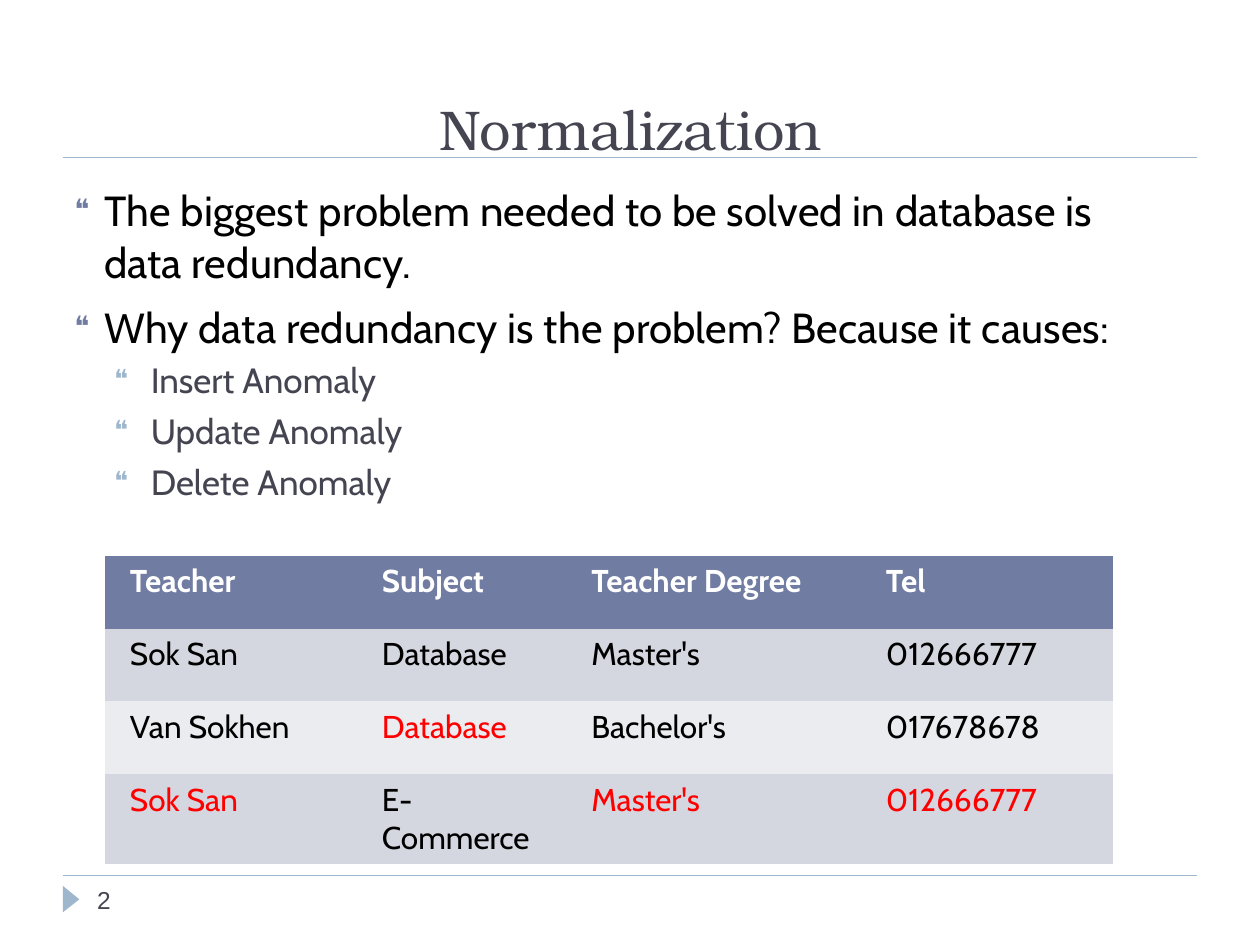
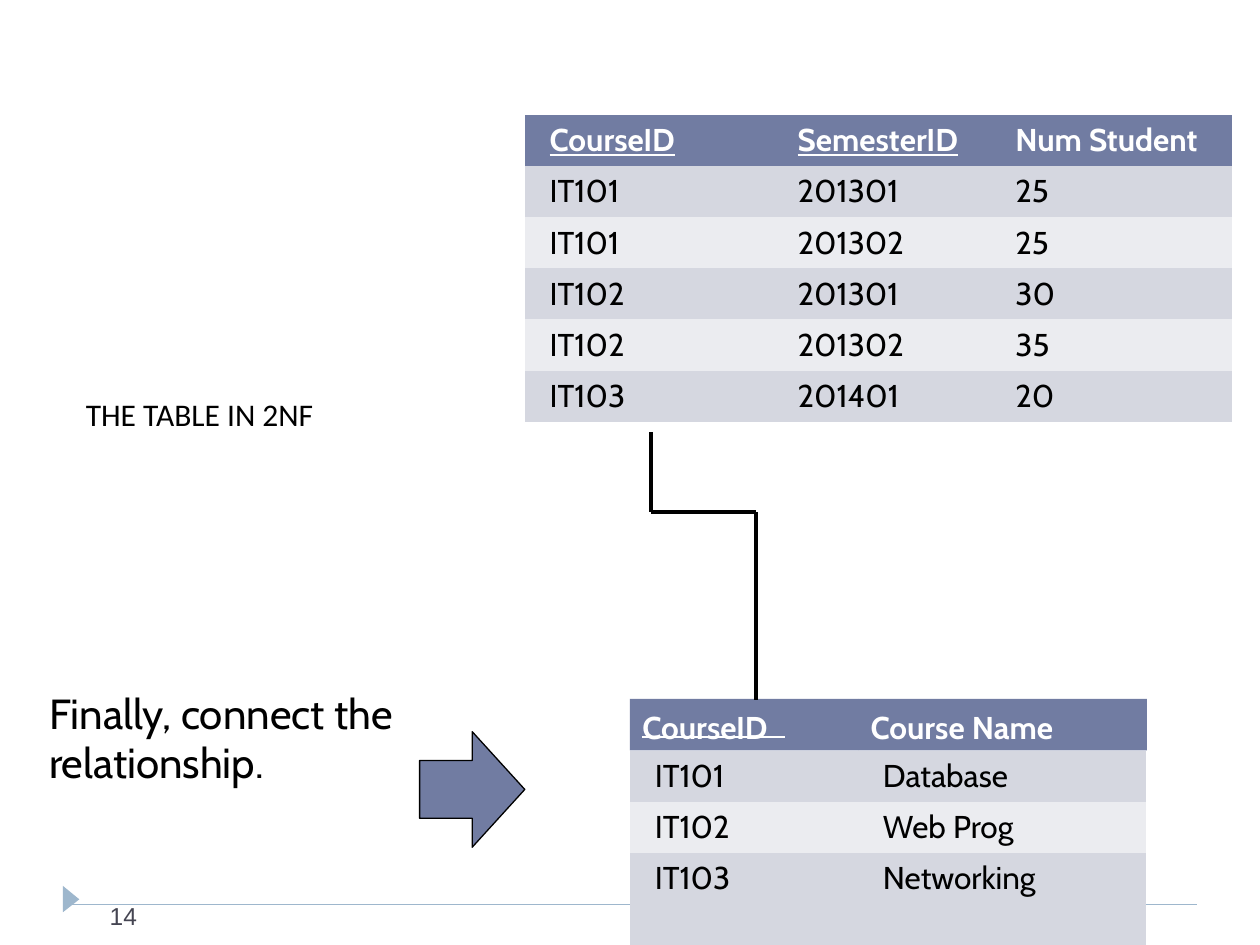
"""Builds two slides on database normalization."""
from dataclasses import dataclass
from itertools import pairwise

from lxml.etree import SubElement as Sub
from pptx import Presentation
from pptx.dml.color import RGBColor as Rgb
from pptx.enum.shapes import MSO_CONNECTOR as Link, MSO_SHAPE as Kind
from pptx.enum.text import MSO_ANCHOR as Anchor, MSO_AUTO_SIZE as Fit, PP_ALIGN as Align
from pptx.oxml.ns import qn
from pptx.util import Cm, Pt


@dataclass(frozen=True)
class Theme:
    """Colours, fonts and type sizes of the deck."""
    ink: str = "000000"
    white: str = "FFFFFF"
    slate: str = "454552"
    blue: str = "717CA2"
    pale: str = "9EB7CD"
    red: str = "FF0000"
    bands: tuple = ("D5D7E0", "EBECF0")
    body: str = "Cabin"
    serif: str = "TeX Gyre Bonum"
    sans: str = "Arial"
    label: str = "Calibri"
    head: int = 32
    lead: int = 24
    item: int = 20
    cell: int = 18
    page: int = 14
    plain: str = "{2D5ABB26-0587-4C30-8999-92F81FD0307C}"


T = Theme()
FOLIO = dict(size=T.page, color=T.slate, font=T.sans)


def write(para, text, size=T.cell, color=T.ink, font=T.body, bold=False,
          under=False, align=None, space=None, before=None, track=0):
    """Put formatted text into a paragraph."""
    run = para.add_run()
    run.text = text
    face = run.font
    face.size, face.name, face.bold, face.underline = Pt(size), font, bold, under
    face.color.rgb = Rgb.from_string(color)
    if track:
        face._element.set("spc", str(track))
    para.alignment = align
    para.line_spacing = space
    if before is not None:
        para.space_before = Pt(before)


def clear(frame):
    """Remove the margins of a text frame and let it wrap."""
    frame.margin_left = frame.margin_right = frame.margin_top = frame.margin_bottom = 0
    frame.word_wrap = True
    frame.auto_size = Fit.NONE
    frame.vertical_anchor = Anchor.TOP


def mark(para, color, hang, scale):
    """Give a paragraph a hanging quote-mark bullet."""
    props = para._p.get_or_add_pPr()
    props.set("marL", str(Cm(hang)))
    props.set("indent", str(-Cm(hang)))
    Sub(Sub(props, qn("a:buClr")), qn("a:srgbClr"), val=color)
    Sub(props, qn("a:buSzPct"), val=str(scale * 1000))
    Sub(props, qn("a:buFont"), typeface=T.sans)
    Sub(props, qn("a:buChar"), char="❝")


def block(slide, box, lines, bullet=None, **form):
    """Add a text box with one paragraph per line."""
    frame = slide.shapes.add_textbox(*map(Cm, box)).text_frame
    clear(frame)
    for num, text in enumerate(lines):
        para = frame.add_paragraph() if num else frame.paragraphs[0]
        write(para, text, **form)
        if bullet:
            mark(para, *bullet)


def rule(slide, start, end, color=T.pale, width=0.71):
    """Draw a straight line between two points."""
    line = slide.shapes.add_connector(Link.STRAIGHT, *map(Cm, start + end))
    line.line.color.rgb = Rgb.from_string(color)
    line.line.width = Pt(width)
    Sub(line._element.spPr, qn("a:effectLst"))


def paint(shape, fill, edge=None):
    """Fill a shape and give it a thin outline or none."""
    shape.shadow.inherit = False
    shape.fill.solid()
    shape.fill.fore_color.rgb = Rgb.from_string(fill)
    if edge:
        shape.line.color.rgb = Rgb.from_string(edge)
        shape.line.width = Pt(0.75)
    else:
        shape.line.fill.background()


def title(slide, box, text):
    """Place the title with the line under it."""
    head = slide.shapes.title
    head.left, head.top, head.width, head.height = map(Cm, box)
    clear(head.text_frame)
    head.text_frame.margin_top = Cm(0.15)
    write(head.text_frame.paragraphs[0], text, size=T.head, color=T.slate,
          font=T.serif, align=Align.CENTER)
    base = box[1] + 1.42
    rule(slide, (1.27, base), (24.13, base))


def pointer(slide):
    """Draw the triangle beside the page number."""
    pen = slide.shapes.build_freeform(Cm(1.27), Cm(17.86))
    pen.add_line_segments([(Cm(1.27), Cm(18.39)), (Cm(1.6), Cm(18.13))], close=True)
    paint(pen.convert_to_shape(), T.pale)


def grid(slide, at, cols, rows, data, pads, header=True, keys=(), reds=(), spans=()):
    """Add a banded table, leaving empty cells bare, and return it."""
    shape = slide.shapes.add_table(len(rows), len(cols), *map(Cm, at + (sum(cols), sum(rows))))
    table = shape.table
    table.first_row = header
    table._tbl.tblPr.find(qn("a:tableStyleId")).text = T.plain
    for col, width in zip(table.columns, cols):
        col.width = Cm(width)
    for row, tall in zip(table.rows, rows):
        row.height = Cm(tall)
    for first, last in spans:
        table.cell(*first).merge(table.cell(*last))
    for r, line in enumerate(data):
        for c, text in enumerate(line):
            if not text:
                continue
            cell, head = table.cell(r, c), header and r == 0
            cell.fill.solid()
            cell.fill.fore_color.rgb = Rgb.from_string(
                T.blue if head else T.bands[(r - header) % 2])
            cell.margin_left = Cm(pads[c])
            color = T.white if head else T.red if (r, c) in reds else T.ink
            write(cell.text_frame.paragraphs[0], text, color=color, bold=head,
                  under=head and c in keys)
    return table


def edge(cell, side):
    """Draw a thin pale border on one side of a cell."""
    line = Sub(cell._tc.get_or_add_tcPr(), qn(f"a:{side}"), w=str(Pt(0.34)))
    Sub(Sub(line, qn("a:solidFill")), qn("a:srgbClr"), val=T.pale)


def courses(slide, left, top):
    """Build the course table with its header and the footer row."""
    start = left + 11.43
    names = ("CourseID", "Course Name")
    places = ((start, 4.6), (start + 4.6, 5.82))
    for x, wide in places:
        bar = slide.shapes.add_shape(Kind.RECTANGLE, *map(Cm, (x, top - 1.04, wide, 1.04)))
        paint(bar, T.blue)
    rule(slide, (start + 0.25, top - 0.28), (start + 3.12, top - 0.28), T.white, 1)
    for name, (x, wide) in zip(names, places):
        block(slide, (x + 0.25, top - 0.86, wide - 0.5, 0.8), [name],
              color=T.white, bold=True)
    table = grid(slide, (left, top), (11.43, 3.3, 7.11, 1.02), (0.89, 0.86, 0.76, 0.58), [
        ("", "IT101", "Database", ""),
        ("", "IT102", "Web Prog", ""),
        ("", "IT103", "Networking", ""),
    ], pads=(0, 0.5, 1.8, 0), header=False,
        spans=[((0, 0), (2, 0)), ((0, 3), (2, 3)), ((2, 1), (3, 1)), ((2, 2), (3, 2))])
    for c in (0, 3):
        for r in range(3):
            edge(table.cell(r, c), "lnB")
        edge(table.cell(3, c), "lnT")
    page = table.cell(3, 0)
    page.margin_left = Cm(0.94)
    write(page.text_frame.paragraphs[0], "14", space=Pt(11.7), **FOLIO)


def intro(deck):
    """Build the slide on redundancy and its anomalies."""
    slide = deck.slides.add_slide(deck.slide_layouts[5])
    rule(slide, (1.27, 17.65), (24.13, 17.65))
    title(slide, (1.5, 1.75, 22.43, 1.5), "Normalization")
    pointer(slide)
    block(slide, (1.96, 17.84, 0.8, 0.6), ["2"], **FOLIO)
    block(slide, (1.5, 3.7, 21.9, 3.2), [
        "The biggest problem needed to be solved in database is data redundancy.",
        "Why data redundancy is the problem? Because it causes:",
    ], bullet=(T.blue, 0.6, 67), size=T.lead, space=1.03, before=7.5, track=10)
    block(slide, (2.3, 7.06, 8, 3.2),
          [f"{act} Anomaly" for act in ("Insert", "Update", "Delete")],
          bullet=(T.pale, 0.74, 75), size=T.item, color=T.slate, space=1.21)
    grid(slide, (2.12, 11.2), (4.41, 4.83, 5.64, 5.44), (1.47,) * 4, [
        ("Teacher", "Subject", "Teacher Degree", "Tel"),
        ("Sok San", "Database", "Master's", "012666777"),
        ("Van Sokhen", "Database", "Bachelor's", "017678678"),
        ("Sok San", "E-Commerce", "Master's", "012666777"),
    ], pads=(0.5, 1.17, 0.56, 0.86), reds={(2, 1), (3, 0), (3, 2), (3, 3)})


def second(deck):
    """Build the slide with the two linked tables."""
    slide = deck.slides.add_slide(deck.slide_layouts[6])
    pointer(slide)
    arrow = slide.shapes.add_shape(Kind.RIGHT_ARROW, *map(Cm, (8.46, 14.75, 2.12, 2.33)))
    paint(arrow, T.blue, T.ink)
    courses(slide, 1.27, 15.13)
    bends = [(13.13, 8.71), (13.13, 10.33), (15.24, 10.33), (15.24, 14.11)]
    for start, end in pairwise(bends):
        rule(slide, start, end, T.ink, 2.25)
    block(slide, (0.99, 13.88, 7.67, 2.2), ["Finally, connect the relationship."],
          size=T.lead, space=Pt(28))
    grid(slide, (10.58, 2.32), (4.47, 4.75, 5.03), (1.03,) * 6, [
        ("CourseID", "SemesterID", "Num Student"),
        ("IT101", "201301", "25"),
        ("IT101", "201302", "25"),
        ("IT102", "201301", "30"),
        ("IT102", "201302", "35"),
        ("IT103", "201401", "20"),
    ], pads=(0.5, 1.03, 0.67), keys=(0, 1))
    block(slide, (1.73, 7.97, 5, 0.9), ["THE TABLE IN 2NF"], font=T.label)


def main():
    """Build and save the deck."""
    deck = Presentation()
    deck.slide_width, deck.slide_height = Cm(25.4), Cm(19.05)
    intro(deck)
    second(deck)
    deck.save("out.pptx")


if __name__ == "__main__":
    main()
